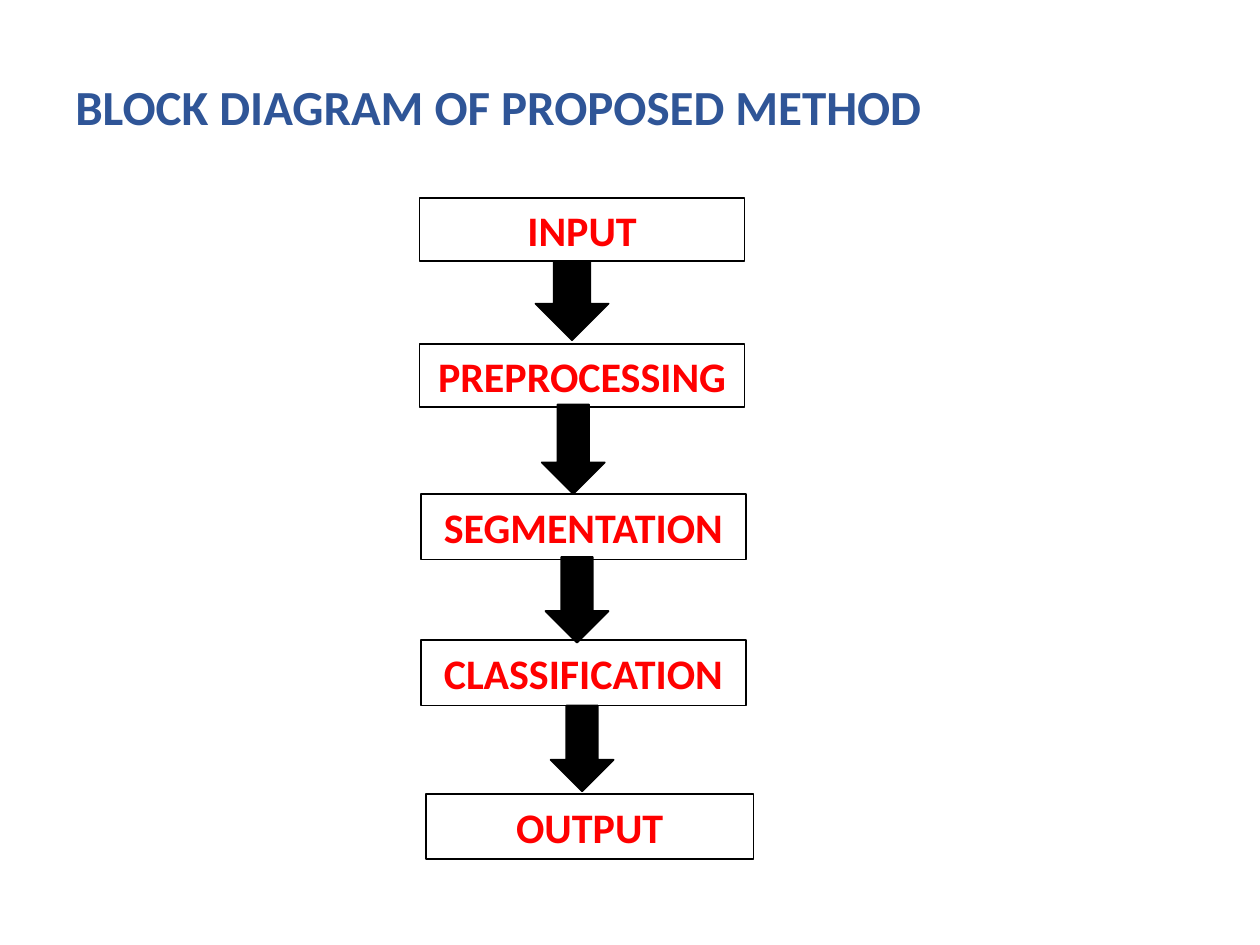
from dataclasses import dataclass

import pptx
import pptx.dml.color
import pptx.enum.shapes
import pptx.enum.text
import pptx.util

COLS, ROWS = 100, 75
KIND = pptx.enum.shapes.MSO_SHAPE
ALIGN = pptx.enum.text.PP_ALIGN
ANCHOR = pptx.enum.text.MSO_ANCHOR
BLACK, WHITE, RED, BLUE = "000000", "FFFFFF", "FF0000", "2F5597"


@dataclass
class Area:
    col: float
    row: float
    wide: float
    high: float


@dataclass
class Step:
    label: str
    area: Area


STEPS = [
    Step("INPUT", Area(33.3, 15.7, 25.8, 5)),
    Step("PREPROCESSING", Area(33.3, 27.3, 25.8, 5)),
    Step("SEGMENTATION", Area(33.4, 39.2, 25.8, 5.2)),
    Step("CLASSIFICATION", Area(33.4, 50.8, 25.8, 5.2)),
    Step("OUTPUT", Area(33.8, 63, 26, 5.2)),
]
ARROWS = [
    Area(42.5, 20.8, 5.8, 6.2),
    Area(43, 32.1, 5, 7.1),
    Area(43.3, 44.2, 5, 6.8),
    Area(43.7, 56, 5, 6.8),
]

deck = pptx.Presentation()
deck.slide_width = pptx.util.Inches(10)
deck.slide_height = pptx.util.Inches(7.5)
slide = deck.slides.add_slide(deck.slide_layouts[6])


def color(code: str) -> pptx.dml.color.RGBColor:
    return pptx.dml.color.RGBColor.from_string(code)


def place(area: Area) -> tuple[int, int, int, int]:
    cell_w = deck.slide_width / COLS
    cell_h = deck.slide_height / ROWS
    return (
        round(area.col * cell_w),
        round(area.row * cell_h),
        round(area.wide * cell_w),
        round(area.high * cell_h),
    )


def write(shape, text: str, *, size: float, ink: str,
          align=ALIGN.LEFT, anchor=ANCHOR.TOP) -> None:
    frame = shape.text_frame
    frame.word_wrap = True
    frame.vertical_anchor = anchor
    para = frame.paragraphs[0]
    para.alignment = align
    run = para.add_run()
    run.text = text
    run.font.name = "Calibri"
    run.font.size = pptx.util.Pt(size)
    run.font.bold = True
    run.font.color.rgb = color(ink)


def draw(kind, area: Area, fill: str):
    shape = slide.shapes.add_shape(kind, *place(area))
    shape.shadow.inherit = False
    shape.fill.solid()
    shape.fill.fore_color.rgb = color(fill)
    shape.line.color.rgb = color(BLACK)
    shape.line.width = pptx.util.Pt(1)
    return shape


def main() -> None:
    title = slide.shapes.add_textbox(*place(Area(5, 5.6, 90, 5.7)))
    write(title, "BLOCK DIAGRAM OF PROPOSED METHOD", size=28, ink=BLUE)
    title.text_frame.auto_size = pptx.enum.text.MSO_AUTO_SIZE.SHAPE_TO_FIT_TEXT
    for step in STEPS:
        box = draw(KIND.RECTANGLE, step.area, WHITE)
        write(box, step.label, size=24, ink=RED,
              align=ALIGN.CENTER, anchor=ANCHOR.MIDDLE)
    for area in ARROWS:
        draw(KIND.DOWN_ARROW, area, BLACK)
    deck.save("out.pptx")


if __name__ == "__main__":
    main()
